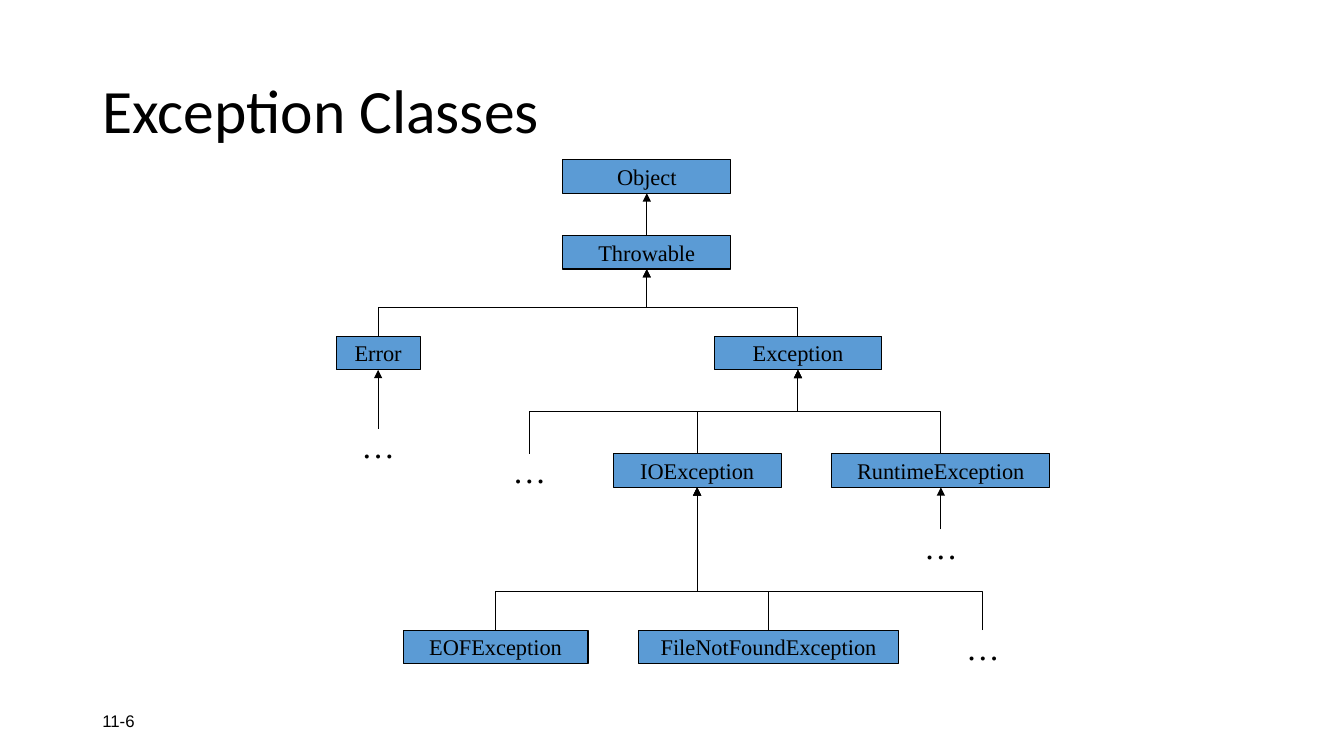
import pptx
import pptx.dml.color
import pptx.enum.shapes
import pptx.enum.text
import pptx.oxml
import pptx.oxml.ns
import pptx.util

Cm = pptx.util.Cm
Pt = pptx.util.Pt
MSO_CONNECTOR = pptx.enum.shapes.MSO_CONNECTOR
PP_ALIGN = pptx.enum.text.PP_ALIGN

COLORS = {"ink": "000000", "box": "5B9BD5"}
HEADING = ("Exception Classes", (2.33, 1.02, 29.21, 3.68))
PAGE = ("11-6", (2.33, 17.66, 7.62, 1.02))
MORE = "…"
NODE_HEIGHT = 0.85

# key: (label, centre, top, width, parent)
CLASSES = {
    "Object": ("Object", 16.3, 4.02, 4.23, None),
    "Throwable": ("Throwable", 16.3, 5.93, 4.23, "Object"),
    "Error": ("Error", 9.53, 8.47, 2.12, "Throwable"),
    "Exception": ("Exception", 20.11, 8.47, 4.23, "Throwable"),
    "more errors": (MORE, 9.53, 10.8, 1.69, "Error"),
    "more exceptions": (MORE, 13.34, 11.43, 1.69, "Exception"),
    "IO": ("IOException", 17.57, 11.43, 4.23, "Exception"),
    "Runtime": ("RuntimeException", 23.71, 11.43, 5.5, "Exception"),
    "more runtime": (MORE, 23.71, 13.34, 1.69, "Runtime"),
    "EOF": ("EOFException", 12.49, 15.88, 4.66, "IO"),
    "FileNotFound": ("FileNotFoundException", 19.37, 15.88, 6.56, "IO"),
    "more IO": (MORE, 24.77, 15.88, 1.69, "IO"),
}
BRANCH_RISE = {"Throwable": 0.73, "Exception": 1.06, "IO": 0.98}

FORMATS = {
    "heading": {"size": Pt(44), "name": "Calibri"},
    "page": {"size": Pt(12), "name": "Arial"},
    "class": {"size": Pt(16), "name": "Times New Roman"},
    "more": {"size": Pt(24), "name": "Times New Roman"},
}


def rgb(name):
    """Return the named palette colour."""
    return pptx.dml.color.RGBColor.from_string(COLORS[name])


def write(shape, text, style, wrap=False, **paragraph_format):
    """Put one formatted paragraph into a shape."""
    frame = shape.text_frame
    frame.word_wrap = wrap
    frame.vertical_anchor = pptx.enum.text.MSO_ANCHOR.MIDDLE
    paragraph = frame.paragraphs[0]
    for key, value in paragraph_format.items():
        setattr(paragraph, key, value)
    run = paragraph.add_run()
    run.text = text
    for key, value in FORMATS[style].items():
        setattr(run.font, key, value)
    run.font.color.rgb = rgb("ink")


def outline(line):
    """Give a line the diagram's ink and weight."""
    line.color.rgb = rgb("ink")
    line.width = Pt(0.75)


def add_class(slide, label, centre, top, width):
    """Draw a class box, or a bare ellipsis for further classes."""
    box = [Cm(v) for v in (centre - width / 2, top, width, NODE_HEIGHT)]
    if label == MORE:
        node = slide.shapes.add_textbox(*box)
    else:
        node = slide.shapes.add_shape(pptx.enum.shapes.MSO_SHAPE.RECTANGLE, *box)
        node.shadow.inherit = False
        node.fill.solid()
        node.fill.fore_color.rgb = rgb("box")
        outline(node.line)
    write(node, label, "more" if label == MORE else "class", alignment=PP_ALIGN.CENTER)
    return node


def add_inheritance(slide, nodes, child, parent):
    """Draw the arrow from a subclass up to its superclass."""
    child_x, child_top = CLASSES[child][1:3]
    parent_x, parent_top = CLASSES[parent][1:3]
    parent_bottom = parent_top + NODE_HEIGHT
    straight = child_x == parent_x
    kind = MSO_CONNECTOR.STRAIGHT if straight else MSO_CONNECTOR.ELBOW
    ends = [Cm(v) for v in (child_x, child_top, parent_x, parent_bottom)]
    arrow = slide.shapes.add_connector(kind, *ends)
    if straight:
        arrow.begin_connect(nodes[child], 0)
        arrow.end_connect(nodes[parent], 2)
    else:
        bend(arrow, child_x - parent_x, child_top - parent_bottom, BRANCH_RISE[parent],
             (child_x + parent_x) / 2, (child_top + parent_bottom) / 2)
    outline(arrow.line)
    line = arrow.line._get_or_add_ln()
    line.append(pptx.oxml.parse_xml(
        f'<a:tailEnd {pptx.oxml.ns.nsdecls("a")} type="triangle"/>'))
    arrow._element.spPr.append(pptx.oxml.parse_xml(
        f'<a:effectLst {pptx.oxml.ns.nsdecls("a")}/>'))


def bend(arrow, run, drop, rise, centre_x, centre_y):
    """Turn an elbow so that it leaves upwards and bends at the given rise."""
    span = abs(run)
    place = {"left": centre_x - drop / 2, "top": centre_y - span / 2,
             "width": drop, "height": span}
    for key, value in place.items():
        setattr(arrow, key, Cm(value))
    frame = arrow._element.spPr.find(pptx.oxml.ns.qn("a:xfrm"))
    turn = {"rot": "5400000" if run > 0 else "16200000",
            "flipH": "1" if run > 0 else "0", "flipV": "0"}
    for key, value in turn.items():
        frame.set(key, value)
    geometry = arrow._element.spPr.find(pptx.oxml.ns.qn("a:prstGeom"))
    for child in list(geometry):
        geometry.remove(child)
    geometry.append(pptx.oxml.parse_xml(
        f'<a:avLst {pptx.oxml.ns.nsdecls("a")}>'
        f'<a:gd name="adj1" fmla="val {round(rise / drop * 100000)}"/></a:avLst>'))


def main():
    """Build the exception class hierarchy slide."""
    deck = pptx.Presentation()
    deck.slide_width, deck.slide_height = Cm(33.87), Cm(19.05)
    slide = deck.slides.add_slide(deck.slide_layouts[6])
    for (text, box), style, spacing in ((PAGE, "page", 1.0), (HEADING, "heading", 0.9)):
        area = slide.shapes.add_textbox(*[Cm(v) for v in box])
        write(area, text, style, wrap=True, line_spacing=spacing)
    nodes = {key: add_class(slide, *entry[:4]) for key, entry in CLASSES.items()}
    for key, entry in CLASSES.items():
        if entry[4]:
            add_inheritance(slide, nodes, key, entry[4])
    deck.save("out.pptx")


if __name__ == "__main__":
    main()
